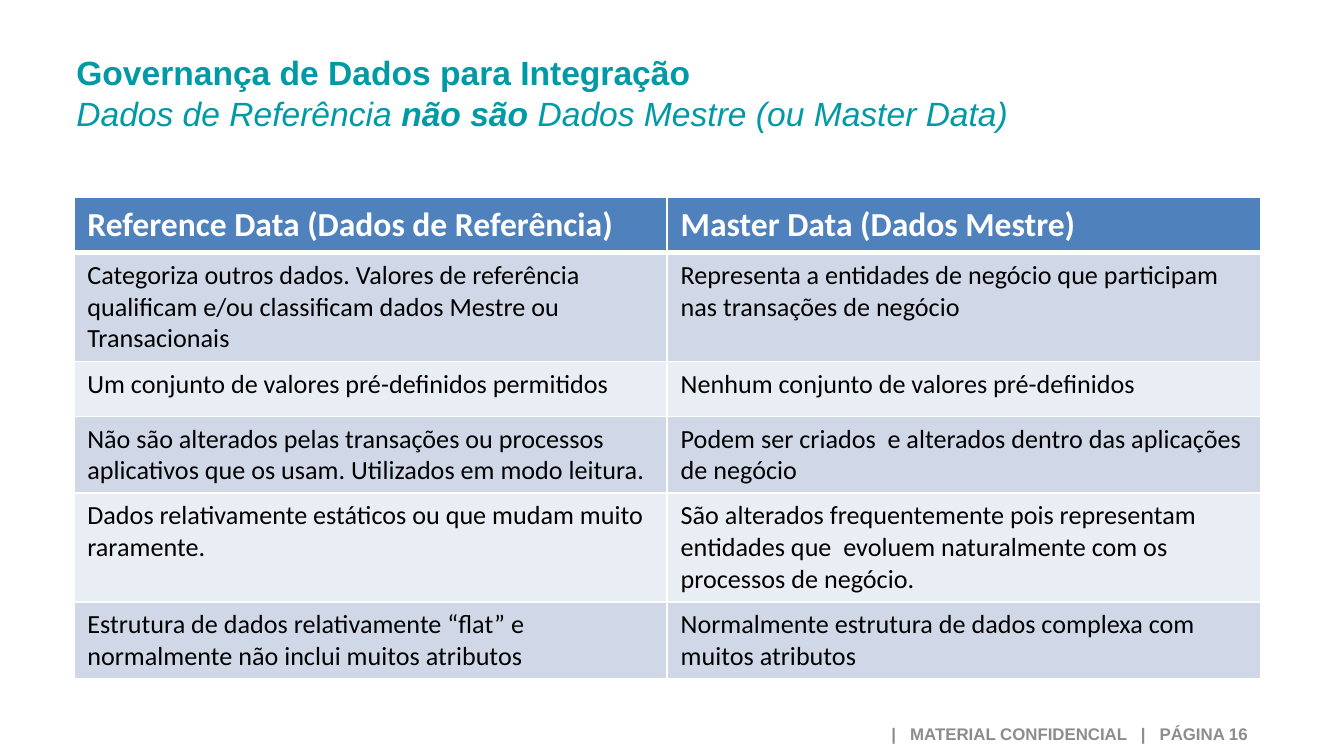
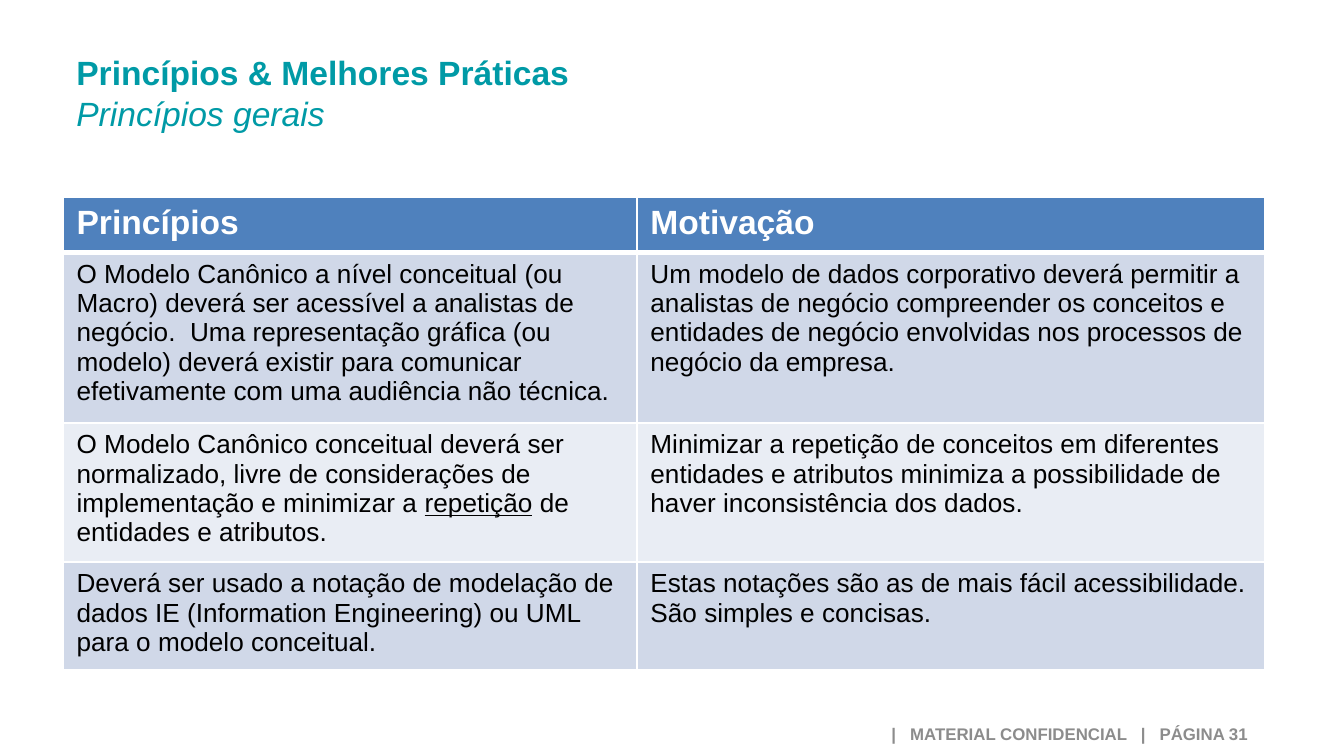
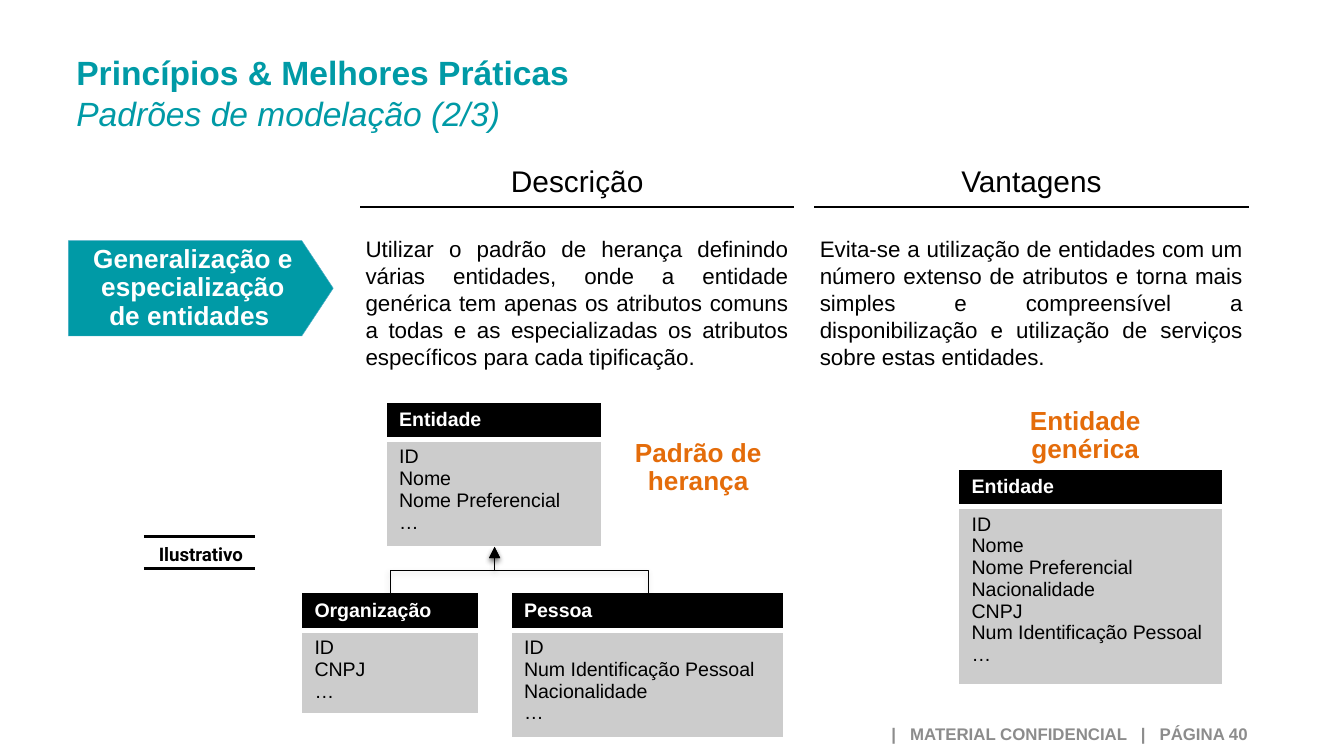
from lxml import etree
from pptx import Presentation
from pptx.dml.color import RGBColor
from pptx.enum.shapes import MSO_CONNECTOR, MSO_SHAPE
from pptx.enum.text import MSO_ANCHOR, PP_ALIGN
from pptx.oxml.ns import qn
from pptx.util import Inches, Pt

STRAIGHT, ELBOW = MSO_CONNECTOR.STRAIGHT, MSO_CONNECTOR.ELBOW
PENTAGON = MSO_SHAPE.PENTAGON
MIDDLE = MSO_ANCHOR.MIDDLE
LEFT, CENTER, RIGHT, JUSTIFY = PP_ALIGN.LEFT, PP_ALIGN.CENTER, PP_ALIGN.RIGHT, PP_ALIGN.JUSTIFY

TEAL = RGBColor(0x00, 0x9A, 0xA6)
AQUA = RGBColor(0x4B, 0xAC, 0xC6)
ORANGE = RGBColor(0xE4, 0x6C, 0x0A)
BLUE = RGBColor(0x4F, 0x81, 0xBD)
BANDS = [RGBColor(0xD0, 0xD8, 0xE8), RGBColor(0xE9, 0xED, 0xF4)]
BLACK = RGBColor(0x00, 0x00, 0x00)
WHITE = RGBColor(0xFF, 0xFF, 0xFF)
GRAY = RGBColor(0x8C, 0x8C, 0x8C)
LIGHT_GRAY = RGBColor(0xCC, 0xCC, 0xCC)

TITLE_BOX = (0.47, 0.34, 7.4, 0.71)
FOOTER_BOX = (5.16, 5.33, 4.22, 0.29)
LABEL_INSETS = (0.12, 0, 0.12, 0)


def write_text(text_frame, paragraphs, size, color, font="Arial", style="", align=LEFT,
               line_spacing=None, insets=None, anchor=None):
    """Fill a frame; a paragraph is a string or a list of (text, style), style being letters of "biu"."""
    text_frame.word_wrap = True
    if anchor is not None:
        text_frame.vertical_anchor = anchor
    if insets:
        (text_frame.margin_left, text_frame.margin_top,
         text_frame.margin_right, text_frame.margin_bottom) = map(Inches, insets)
    for index, content in enumerate(paragraphs):
        paragraph = text_frame.add_paragraph() if index else text_frame.paragraphs[0]
        paragraph.alignment = align
        if line_spacing:
            paragraph.line_spacing = line_spacing
        runs = [(content, style)] if isinstance(content, str) else content
        for text, run_style in runs:
            run = paragraph.add_run()
            run.text = text
            run.font.name = font
            run.font.size = Pt(size)
            run.font.color.rgb = color
            run.font.bold = "b" in run_style
            run.font.italic = "i" in run_style
            run.font.underline = "u" in run_style


def add_table(slide, left, top, widths, heights, rows, header_fill, bands,
              header_size, body_size, font="Arial"):
    """Add a table with white rules; each cell is a list of paragraphs."""
    table = slide.shapes.add_table(len(rows), len(widths), Inches(left), Inches(top),
                                   Inches(sum(widths)), Inches(sum(heights))).table
    for column, width in zip(table.columns, widths):
        column.width = Inches(width)
    for row_index, (row, height) in enumerate(zip(rows, heights)):
        table.rows[row_index].height = Inches(height)
        is_header = row_index == 0
        for column_index, paragraphs in enumerate(row):
            cell = table.cell(row_index, column_index)
            write_text(cell.text_frame, paragraphs, header_size if is_header else body_size,
                       WHITE if is_header else BLACK, font, "b" if is_header else "")
            properties = cell._tc.get_or_add_tcPr()
            for side in "LRTB":
                thick = (is_header and side == "B") or (row_index == 1 and side == "T")
                border = etree.SubElement(properties, qn(f"a:ln{side}"), w=str(Pt(3 if thick else 1)))
                fill = etree.SubElement(border, qn("a:solidFill"))
                etree.SubElement(fill, qn("a:srgbClr"), val=str(WHITE))
            cell.fill.solid()
            cell.fill.fore_color.rgb = header_fill if is_header else bands[(row_index - 1) % len(bands)]


presentation = Presentation()
presentation.slide_width = Inches(10)
presentation.slide_height = Inches(10 * 9 / 16)

# Titles and footers
pages = [
    (16, "Governança de Dados para Integração",
     [("Dados de Referência ", "i"), ("não são ", "bi"), ("Dados Mestre (ou Master Data)", "i")]),
    (31, "Princípios & Melhores Práticas", [("Princípios gerais", "i")]),
    (40, "Princípios & Melhores Práticas", [("Padrões de modelação (2/3)", "i")]),
]
for number, title, subtitle in pages:
    slide = presentation.slides.add_slide(presentation.slide_layouts[6])
    title_box = slide.shapes.add_textbox(*map(Inches, TITLE_BOX))
    write_text(title_box.text_frame, [[(title, "b")], subtitle], 18, TEAL)
    footer = slide.shapes.add_textbox(*map(Inches, FOOTER_BOX))
    write_text(footer.text_frame, [f" |   MATERIAL CONFIDENCIAL   |   PÁGINA {number}"], 9, GRAY,
               style="b", align=RIGHT, line_spacing=0.8, anchor=MIDDLE)
reference_slide, principles_slide, patterns_slide = presentation.slides

# Reference data against master data
reference_rows = [
    ("Reference Data (Dados de Referência)", "Master Data (Dados Mestre)"),
    ("Categoriza outros dados. Valores de referência qualificam e/ou classificam dados Mestre ou Transacionais",
     "Representa a entidades de negócio que participam nas transações de negócio"),
    ("Um conjunto de valores pré-definidos permitidos", "Nenhum conjunto de valores pré-definidos"),
    ("Não são alterados pelas transações ou processos aplicativos que os usam. Utilizados em modo leitura.",
     "Podem ser criados  e alterados dentro das aplicações de negócio"),
    ("Dados relativamente estáticos ou que mudam muito raramente.",
     "São alterados frequentemente pois representam entidades que  evoluem naturalmente com os "
     "processos de negócio."),
    ("Estrutura de dados relativamente “flat” e normalmente não inclui muitos atributos",
     "Normalmente estrutura de dados complexa com muitos atributos"),
]
add_table(reference_slide, 0.55, 1.47, [8.83 / 2] * 2, [0.41, 0.81, 0.41, 0.57, 0.81, 0.57],
          [[[text] for text in row] for row in reference_rows], BLUE, BANDS, 18, 14, "Calibri")

# General principles
principles_rows = [
    ("Princípios", "Motivação"),
    ("O Modelo Canônico a nível conceitual (ou Macro) deverá ser acessível a analistas de negócio.  "
     "Uma representação gráfica (ou modelo) deverá existir para comunicar efetivamente com uma "
     "audiência não técnica.",
     "Um modelo de dados corporativo deverá permitir a analistas de negócio compreender os conceitos "
     "e entidades de negócio envolvidas nos processos de negócio da empresa."),
    ([("O Modelo Canônico conceitual deverá ser normalizado, livre de considerações de implementação "
       "e minimizar a ", ""), ("repetição", "u"), (" de entidades e atributos.", "")],
     "Minimizar a repetição de conceitos em diferentes entidades e atributos minimiza a possibilidade "
     "de haver inconsistência dos dados."),
    ("Deverá ser usado a notação de modelação de dados IE (Information Engineering) ou UML para o "
     "modelo conceitual.",
     "Estas notações são as de mais fácil acessibilidade. São simples e concisas."),
]
add_table(principles_slide, 0.47, 1.47, [4.27, 4.67], [0.41, 1.27, 1.03, 0.8],
          [[[text] for text in row] for row in principles_rows], BLUE, BANDS, 18, 14)

# Modelling pattern: topic, description and advantages
topic = patterns_slide.shapes.add_shape(PENTAGON, Inches(0.51), Inches(1.79), Inches(1.97), Inches(0.71))
topic.adjustments[0] = 0.33
topic.shadow.inherit = False
topic.fill.solid()
topic.fill.fore_color.rgb = TEAL
topic.line.color.rgb = AQUA
topic.line.width = Pt(0.25)
write_text(topic.text_frame, ["Generalização e especialização de entidades "], 14, WHITE, style="b",
           align=CENTER, line_spacing=0.9, insets=LABEL_INSETS, anchor=MIDDLE)

column_width = 3.23
columns = [
    (2.68, "Descrição",
     "Utilizar o padrão de herança definindo várias entidades, onde a entidade genérica tem apenas os "
     "atributos comuns a todas e as especializadas os atributos específicos para cada tipificação."),
    (6.06, "Vantagens",
     "Evita-se a utilização de entidades com um número extenso de atributos e torna mais simples e "
     "compreensível a disponibilização e utilização de serviços sobre estas entidades."),
]
rules = [(1.07, 1.9, y, 1.5) for y in (3.99, 4.23)]
for left, heading, body in columns:
    heading_box = patterns_slide.shapes.add_textbox(Inches(left), Inches(1.16), Inches(column_width), Inches(0.37))
    write_text(heading_box.text_frame, [heading], 16, BLACK, align=CENTER)
    body_box = patterns_slide.shapes.add_textbox(Inches(left), Inches(1.71), Inches(column_width), Inches(1.09))
    write_text(body_box.text_frame, [body], 12, BLACK, align=JUSTIFY, insets=[0.04] * 4)
    rules.append((left, left + column_width, 1.54, 0.75))

illustrative = patterns_slide.shapes.add_textbox(Inches(0.73), Inches(4.02), Inches(1.53), Inches(0.19))
write_text(illustrative.text_frame, ["Ilustrativo"], 10, BLACK, "Roboto", "b", CENTER, 1.1, [0] * 4)

for start, end, y, weight in rules:
    rule = patterns_slide.shapes.add_connector(STRAIGHT, Inches(start), Inches(y), Inches(end), Inches(y))
    rule.line.color.rgb = BLACK
    rule.line.width = Pt(weight)
    etree.SubElement(rule._element.spPr, qn("a:effectLst"))

# Entities
entities = [
    (2.87, 2.99, 1.61, 0.8, "Entidade", ["ID", "Nome", "Nome Preferencial", "…"]),
    (3.8, 4.41, 2.03, 0.8, "Pessoa", ["ID", "Num Identificação Pessoal", "Nacionalidade", "…"]),
    (2.24, 4.41, 1.32, 0.62, "Organização", ["ID", "CNPJ", "…"]),
    (7.13, 3.49, 1.97, 1.32, "Entidade",
     ["ID", "Nome", "Nome Preferencial", "Nacionalidade", "CNPJ", "Num Identificação Pessoal", "…"]),
]
for left, top, width, body_height, name, attributes in entities:
    add_table(patterns_slide, left, top, [width], [0.28, body_height], [[[name]], [attributes]],
              BLACK, [LIGHT_GRAY], 10.5, 10.5)

for box, label in [((4.37, 3.13, 1.65, 0.71), "Padrão de herança"),
                   ((7.13, 2.89, 1.89, 0.71), "Entidade genérica")]:
    label_box = patterns_slide.shapes.add_textbox(*map(Inches, box))
    write_text(label_box.text_frame, [label], 14, ORANGE, style="b", align=CENTER,
               line_spacing=0.9, insets=LABEL_INSETS, anchor=MIDDLE)

# Inheritance arrows: laid out sideways, then turned so that they leave upwards
parent_x, parent_bottom, child_top = 3.68, 4.07, 4.41
half_rise = (child_top - parent_bottom) / 2
middle_y = parent_bottom + half_rise
for child_x in (2.9, 4.82):
    middle_x = (child_x + parent_x) / 2
    half_run = abs(parent_x - child_x) / 2
    is_left = child_x < parent_x
    offset = half_rise if is_left else -half_rise
    arrow = patterns_slide.shapes.add_connector(
        ELBOW, Inches(middle_x + offset), Inches(middle_y + half_run),
        Inches(middle_x - offset), Inches(middle_y - half_run))
    arrow.line.color.rgb = BLACK
    arrow.line.width = Pt(0.25)
    properties = arrow._element.spPr
    properties.find(qn("a:xfrm")).set("rot", str((90 if is_left else 270) * 60000))
    etree.SubElement(properties.find(qn("a:ln")), qn("a:tailEnd"), type="triangle")
    effects = etree.SubElement(properties, qn("a:effectLst"))
    shadow = etree.SubElement(effects, qn("a:outerShdw"), blurRad=str(Pt(3.1)), dist=str(Pt(1.6)),
                              dir=str(90 * 60000), rotWithShape="0")
    shadow_color = etree.SubElement(shadow, qn("a:srgbClr"), val=str(BLACK))
    etree.SubElement(shadow_color, qn("a:alpha"), val="38000")

presentation.save("out.pptx")
